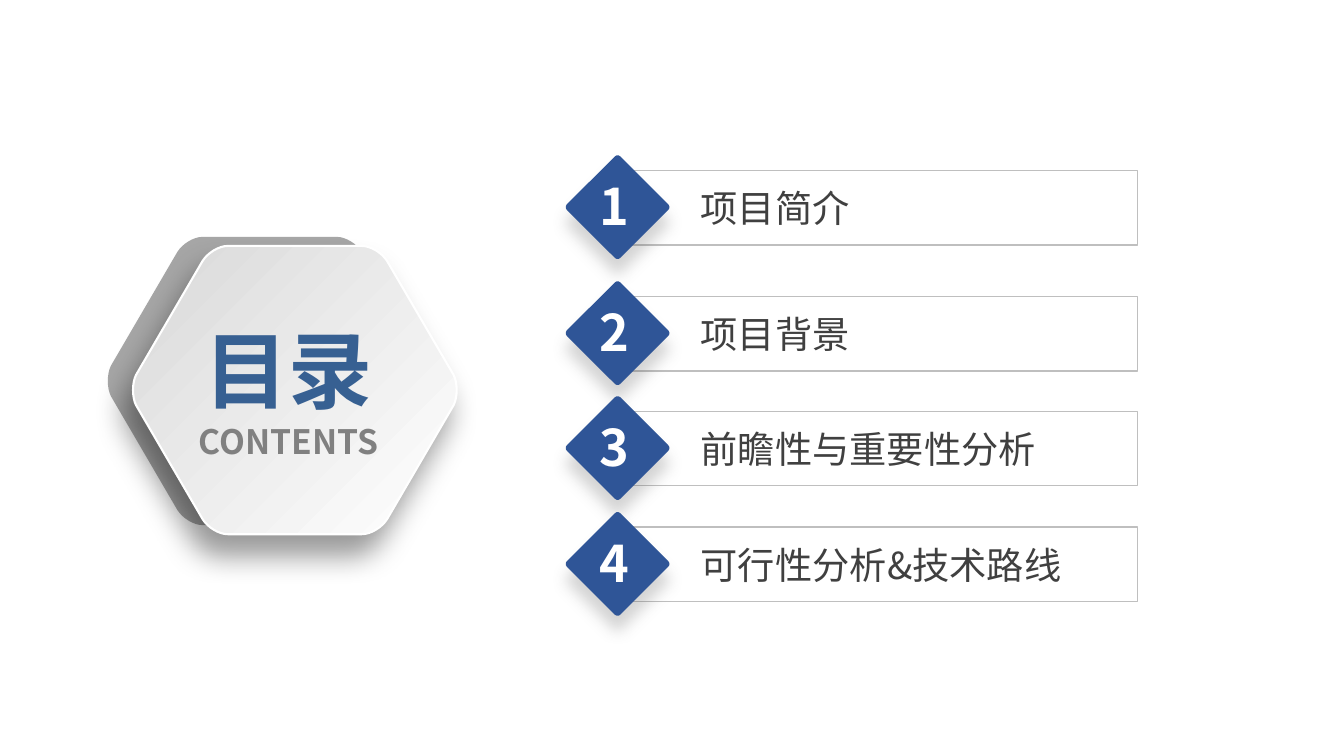
from dataclasses import dataclass

import lxml.etree
import pptx
import pptx.dml.color
import pptx.enum.shapes
import pptx.enum.text
import pptx.oxml.ns
import pptx.util
from pptx.oxml.ns import qn
from pptx.util import Inches

FONT = "Noto Sans CJK SC"
COLORS = {
    "white": "FFFFFF",
    "back": "A6A6A6",
    "gradient_start": "D9D9D9",
    "border": "BFBFBF",
    "title": "376092",
    "subtitle": "808080",
    "label": "404040",
    "diamond": "2F5597",
    "hexagon_shadow": "000000",
    "diamond_shadow": "595959",
}
HEXAGON_SPAN = 3.23
LEFT_CORNERS = [
    [(0.95, 2.86), (0.86, 2.86), (0.75, 2.79), (0.70, 2.71)],
    [(0.04, 1.58), (0, 1.50), (0, 1.36), (0.04, 1.28)],
    [(0.70, 0.15), (0.75, 0.07), (0.86, 0), (0.95, 0)],
]


@dataclass
class Shadow:
    color: str
    opacity: int
    blur: float
    distance: float
    direction: int


@dataclass
class TextStyle:
    size: float
    color: str
    bold: bool = False
    centered: bool = False


@dataclass
class Entry:
    number: str
    label: str
    top: float
    label_width: float = 3.62


HEXAGON_SHADOW = Shadow("hexagon_shadow", 40, 21, 16, 113)
DIAMOND_SHADOW = Shadow("diamond_shadow", 25, 11, 11, 90)
TITLE = TextStyle(60, "title", bold=True, centered=True)
SUBTITLE = TextStyle(24, "subtitle", bold=True, centered=True)
LABEL = TextStyle(26.6, "label")
NUMBER = TextStyle(36, "white", bold=True)
ENTRIES = [
    Entry("1", "项目简介", 1.69),
    Entry("2", "项目背景", 2.94),
    Entry("3", "前瞻性与重要性分析", 4.08),
    Entry("4", "可行性分析&技术路线", 5.23, 4.06),
]


def rgb(name: str) -> pptx.dml.color.RGBColor:
    return pptx.dml.color.RGBColor.from_string(COLORS[name])


def add_shadow(shape, shadow: Shadow) -> None:
    effects = shape._element.spPr.find(qn("a:effectLst"))
    outer = lxml.etree.SubElement(
        effects,
        qn("a:outerShdw"),
        blurRad=str(pptx.util.Pt(shadow.blur)),
        dist=str(pptx.util.Pt(shadow.distance)),
        dir=str(shadow.direction * 60000),
        algn="ctr",
        rotWithShape="0",
    )
    color = lxml.etree.SubElement(outer, qn("a:srgbClr"), val=COLORS[shadow.color])
    lxml.etree.SubElement(color, qn("a:alpha"), val=str(shadow.opacity * 1000))


def add_text(shapes, box: tuple, text: str, style: TextStyle, wrap: bool = True):
    shape = shapes.add_textbox(*map(Inches, box))
    frame = shape.text_frame
    frame.text = text
    frame.word_wrap = wrap
    frame.auto_size = pptx.enum.text.MSO_AUTO_SIZE.SHAPE_TO_FIT_TEXT
    paragraph = frame.paragraphs[0]
    if style.centered:
        paragraph.alignment = pptx.enum.text.PP_ALIGN.CENTER
    font = paragraph.runs[0].font
    font.name = FONT
    font.size = pptx.util.Pt(style.size)
    font.bold = style.bold
    font.color.rgb = rgb(style.color)
    east_asian = lxml.etree.SubElement(font._element, qn("a:ea"))
    east_asian.set("typeface", FONT)
    return shape


def round_corners(shape) -> None:
    lines = list(shape._element.iter(qn("a:lnTo")))
    for start in range(0, len(lines), 4):
        first, second, last = lines[start : start + 3]
        curve = lxml.etree.Element(qn("a:cubicBezTo"))
        first.addprevious(curve)
        for line in (first, second, last):
            curve.append(line[0])
            line.getparent().remove(line)


def add_hexagon(shapes, left: float, top: float):
    left_side = [point for corner in LEFT_CORNERS for point in corner]
    right_side = [(HEXAGON_SPAN - x, y) for x, y in reversed(left_side)]
    outline = [(Inches(left + x), Inches(top + y)) for x, y in left_side + right_side]
    builder = shapes.build_freeform(*outline[0])
    builder.add_line_segments(outline[1:], close=True)
    shape = builder.convert_to_shape()
    round_corners(shape)
    shape.shadow.inherit = False
    return shape


def add_emblem(shapes) -> None:
    back = add_hexagon(shapes, 1.06, 2.35)
    back.fill.solid()
    back.fill.fore_color.rgb = rgb("back")
    back.line.fill.background()

    front = add_hexagon(shapes, 1.31, 2.44)
    front.fill.gradient()
    front.fill.gradient_angle = 315
    for stop, name in zip(front.fill.gradient_stops, ("gradient_start", "white")):
        stop.color.rgb = rgb(name)
    front.line.color.rgb = rgb("white")
    front.line.width = pptx.util.Pt(1.5)
    add_shadow(front, HEXAGON_SHADOW)

    title = add_text(shapes, (1.67, 3.09, 2.39, 1.14), "目录", TITLE)
    title.text_frame.margin_left = title.text_frame.margin_right = Inches(0.13)
    title.text_frame.margin_top = title.text_frame.margin_bottom = Inches(0.07)
    subtitle = add_text(shapes, (1.66, 4.1, 2.4, 0.56), "CONTENTS", SUBTITLE)
    subtitle.text_frame.auto_size = pptx.enum.text.MSO_AUTO_SIZE.NONE
    subtitle.text_frame.vertical_anchor = pptx.enum.text.MSO_ANCHOR.MIDDLE


def add_entry(slide_shapes, entry: Entry) -> None:
    shapes = slide_shapes.add_group_shape().shapes
    kinds = pptx.enum.shapes.MSO_SHAPE
    frame_box = map(Inches, (6.11, entry.top, 5.17, 0.74))
    frame = shapes.add_shape(kinds.RECTANGLE, *frame_box)
    frame.shadow.inherit = False
    frame.fill.background()
    frame.line.color.rgb = rgb("border")
    frame.line.width = pptx.util.Pt(1)

    label_box = (6.85, entry.top + 0.1, entry.label_width, 0.55)
    add_text(shapes, label_box, entry.label, LABEL)

    diamond_box = map(Inches, (5.75, entry.top - 0.01, 0.75, 0.75))
    diamond = shapes.add_shape(kinds.ROUNDED_RECTANGLE, *diamond_box)
    diamond.adjustments[0] = 0.05
    diamond.rotation = 45
    diamond.shadow.inherit = False
    diamond.fill.solid()
    diamond.fill.fore_color.rgb = rgb("diamond")
    diamond.line.fill.background()
    add_shadow(diamond, DIAMOND_SHADOW)

    number_box = (5.85, entry.top, 0.51, 0.71)
    add_text(shapes, number_box, entry.number, NUMBER, wrap=False)


def main() -> None:
    presentation = pptx.Presentation()
    presentation.slide_width = Inches(13.33)
    presentation.slide_height = Inches(7.5)
    slide = presentation.slides.add_slide(presentation.slide_layouts[6])
    add_emblem(slide.shapes)
    for entry in ENTRIES:
        add_entry(slide.shapes, entry)
    presentation.save("out.pptx")


if __name__ == "__main__":
    main()
